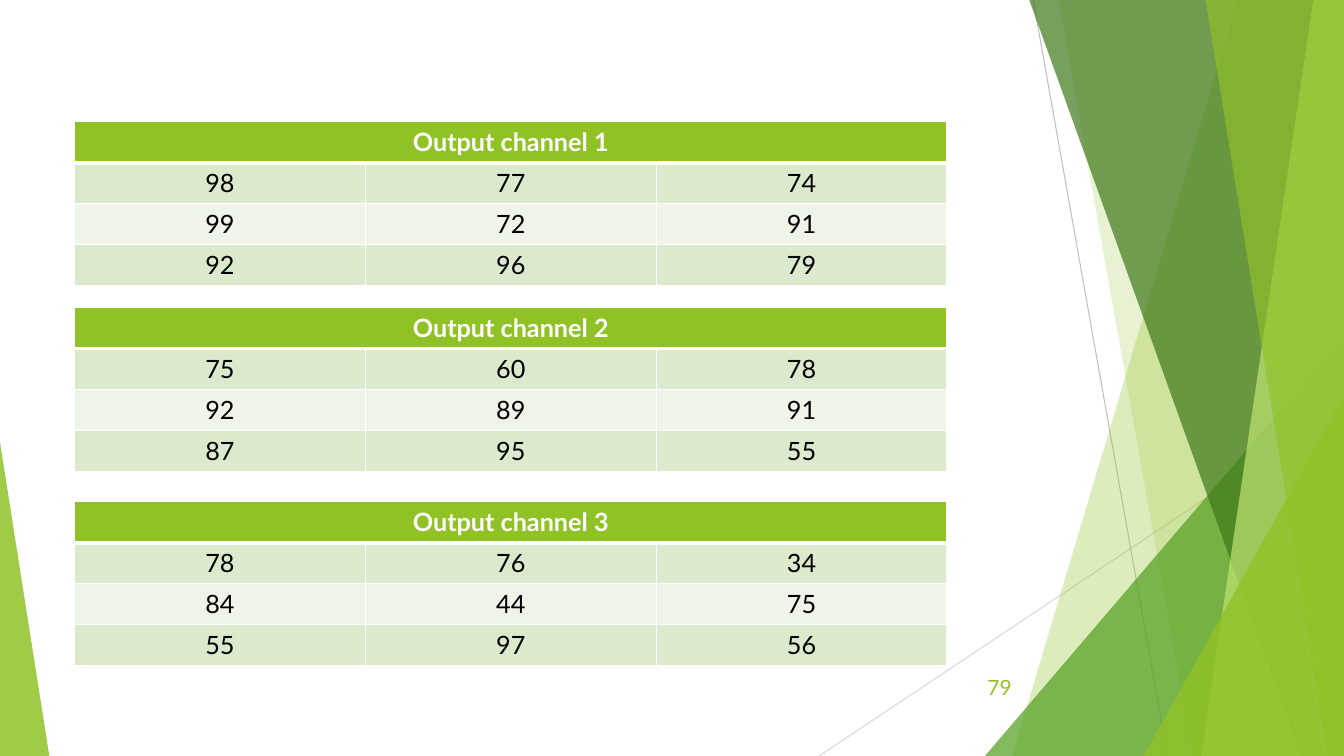
from lxml import etree
from pptx import Presentation
from pptx import util as u
from pptx.dml.color import RGBColor
from pptx.enum import shapes, text
from pptx.oxml import ns

PX = 9525  # EMU per px, 96 px to the inch
WIDTH, HEIGHT = 1280, 720
FONT = "Lato"
GREEN, WHITE, BLACK = "90C226", "FFFFFF", "000000"
BANDS = ["DBE9CD", "EEF4E8"]

TABLE_LEFT, COLUMN_WIDTH, ROW_HEIGHT = 71, 277, 39
CHANNELS = [
    (116, "Output channel 1", [(98, 77, 74), (99, 72, 91), (92, 96, 79)]),
    (293, "Output channel 2", [(75, 60, 78), (92, 89, 91), (87, 95, 55)]),
    (478, "Output channel 3", [(78, 76, 34), (84, 44, 75), (55, 97, 56)]),
]


def px(*lengths):
    return [length * PX for length in lengths]


def rgb(color):
    return RGBColor.from_string(color)


def set_font(paragraph, size, color, bold=False):
    font = paragraph.font
    font.name, font.size, font.bold = FONT, u.Pt(size), bold
    font.color.rgb = rgb(color)


def paint(shape, color, opacity):
    """Fill a shape with a translucent colour, without line or shadow."""
    shape.shadow.inherit = False
    shape.line.fill.background()
    shape.fill.solid()
    shape.fill.fore_color.rgb = rgb(color)
    fill_color = shape._element.spPr.find(".//" + ns.qn("a:srgbClr"))
    etree.SubElement(fill_color, ns.qn("a:alpha"), val=str(opacity * 1000))


def add_hairline(slide, start, end, color):
    line = slide.shapes.add_connector(
        shapes.MSO_CONNECTOR.STRAIGHT, *px(*start, *end))
    line.line.color.rgb = rgb(color)
    line.line.width = u.Pt(0.75)
    etree.SubElement(line._element.spPr, ns.qn("a:effectLst"))


def add_shard(slide, top_left, bottom_left, color, opacity):
    """Add a full-height facet that reaches the right edge of the slide."""
    builder = slide.shapes.build_freeform(top_left, -1, scale=PX)
    builder.add_line_segments(
        [(WIDTH, -1), (WIDTH, HEIGHT), (bottom_left, HEIGHT)], close=True)
    paint(builder.convert_to_shape(), color, opacity)


def add_triangle(slide, left, top, width, apex, color, opacity):
    """Add a triangle that stands on the bottom edge of the slide."""
    triangle = slide.shapes.add_shape(
        shapes.MSO_SHAPE.ISOSCELES_TRIANGLE,
        *px(left, top, width, HEIGHT - top))
    triangle.adjustments[0] = apex
    paint(triangle, color, opacity)


def set_borders(cell, **widths):
    """Draw white borders; widths in points are keyed by side L, R, T, B."""
    properties = cell._tc.get_or_add_tcPr()
    for side, width in widths.items():
        line = etree.SubElement(
            properties, ns.qn("a:ln" + side), w=str(u.Pt(width)))
        fill = etree.SubElement(line, ns.qn("a:solidFill"))
        etree.SubElement(fill, ns.qn("a:srgbClr"), val=WHITE)


def add_channel_table(slide, top, title, values):
    rows, columns = len(values) + 1, len(values[0])
    table = slide.shapes.add_table(
        rows, columns,
        *px(TABLE_LEFT, top, columns * COLUMN_WIDTH, rows * ROW_HEIGHT)).table
    for column in table.columns:
        column.width = COLUMN_WIDTH * PX
    for row in table.rows:
        row.height = ROW_HEIGHT * PX
    table.cell(0, 0).merge(table.cell(0, columns - 1))

    for r in range(rows):
        for c in range(columns):
            cell = table.cell(r, c)
            set_borders(cell, L=1, R=1, T=3 if r == 1 else 1,
                        B=3 if r == 0 else 1)
            cell.fill.solid()
            cell.fill.fore_color.rgb = rgb(BANDS[(r - 1) % 2] if r else GREEN)
            if cell.is_spanned:
                continue
            cell.text = str(values[r - 1][c]) if r else title
            paragraph = cell.text_frame.paragraphs[0]
            paragraph.alignment = text.PP_ALIGN.CENTER
            set_font(paragraph, 18, BLACK if r else WHITE, bold=r == 0)


def add_slide_number(slide, number):
    frame = slide.shapes.add_textbox(*px(901, 635, 72, 38)).text_frame
    frame.word_wrap = True
    frame.vertical_anchor = text.MSO_ANCHOR.MIDDLE
    frame.text = number
    paragraph = frame.paragraphs[0]
    paragraph.alignment = text.PP_ALIGN.RIGHT
    set_font(paragraph, 15, GREEN)


def add_backdrop(slide):
    add_hairline(slide, (984, 0), (1112, HEIGHT), "BFBFBF")
    add_hairline(slide, (WIDTH, 387), (780, HEIGHT), "D9D9D9")
    add_shard(slide, 1179, 964, GREEN, 30)
    add_shard(slide, 1008, 1136, GREEN, 20)
    add_triangle(slide, 938, 320, 342, 1, "54A021", 72)
    add_shard(slide, 980, 1239, "3F7819", 70)
    add_shard(slide, 1251, 1144, "C0E474", 70)
    add_shard(slide, 1148, 1265, GREEN, 65)
    add_triangle(slide, 1089, 377, 191, 1, GREEN, 80)
    add_triangle(slide, 0, 421, 47, 0, GREEN, 85)


def main():
    presentation = Presentation()
    presentation.slide_width, presentation.slide_height = px(WIDTH, HEIGHT)
    slide = presentation.slides.add_slide(presentation.slide_layouts[6])
    add_backdrop(slide)
    for top, title, values in CHANNELS:
        add_channel_table(slide, top, title, values)
    add_slide_number(slide, "79")
    presentation.save("out.pptx")


if __name__ == "__main__":
    main()
